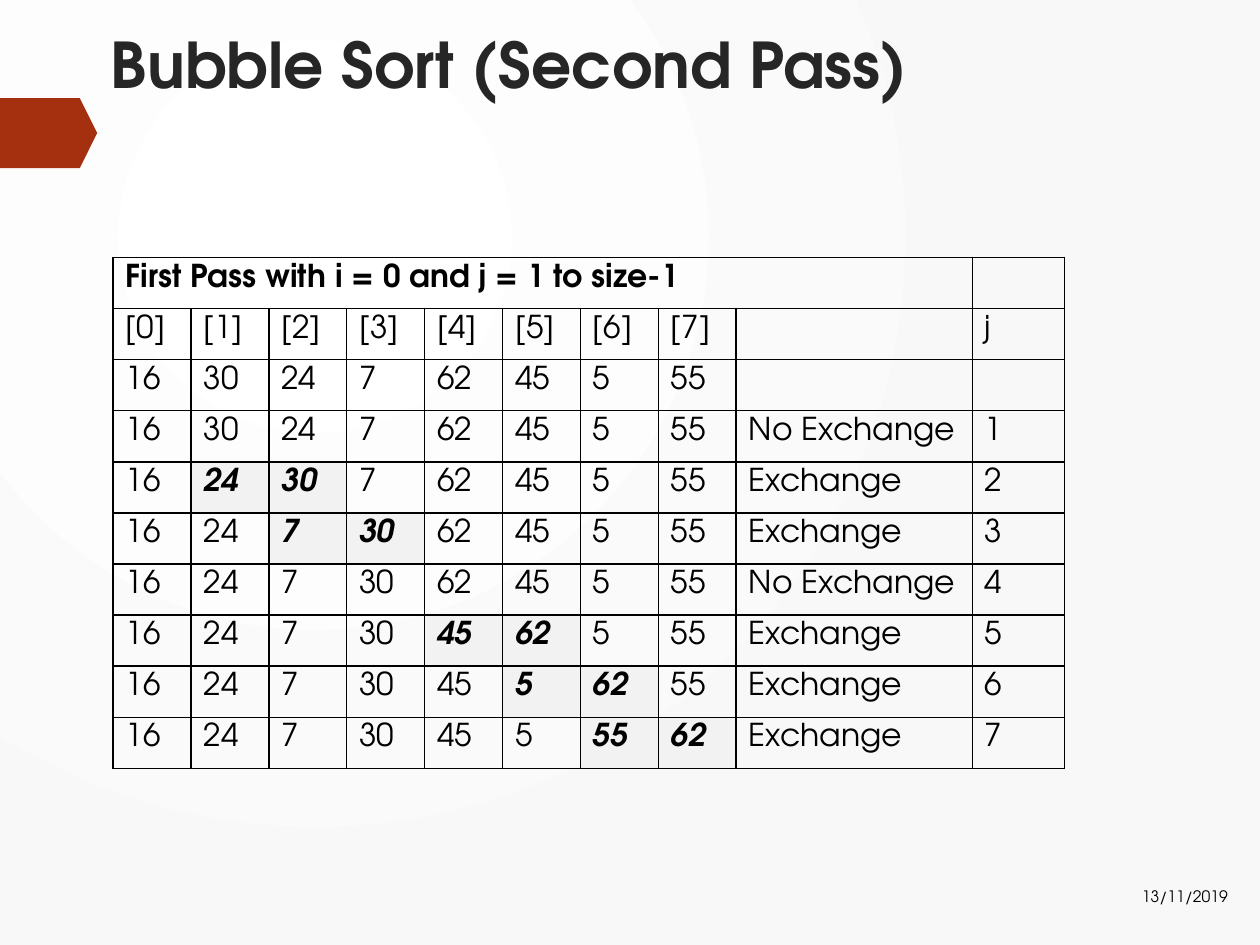
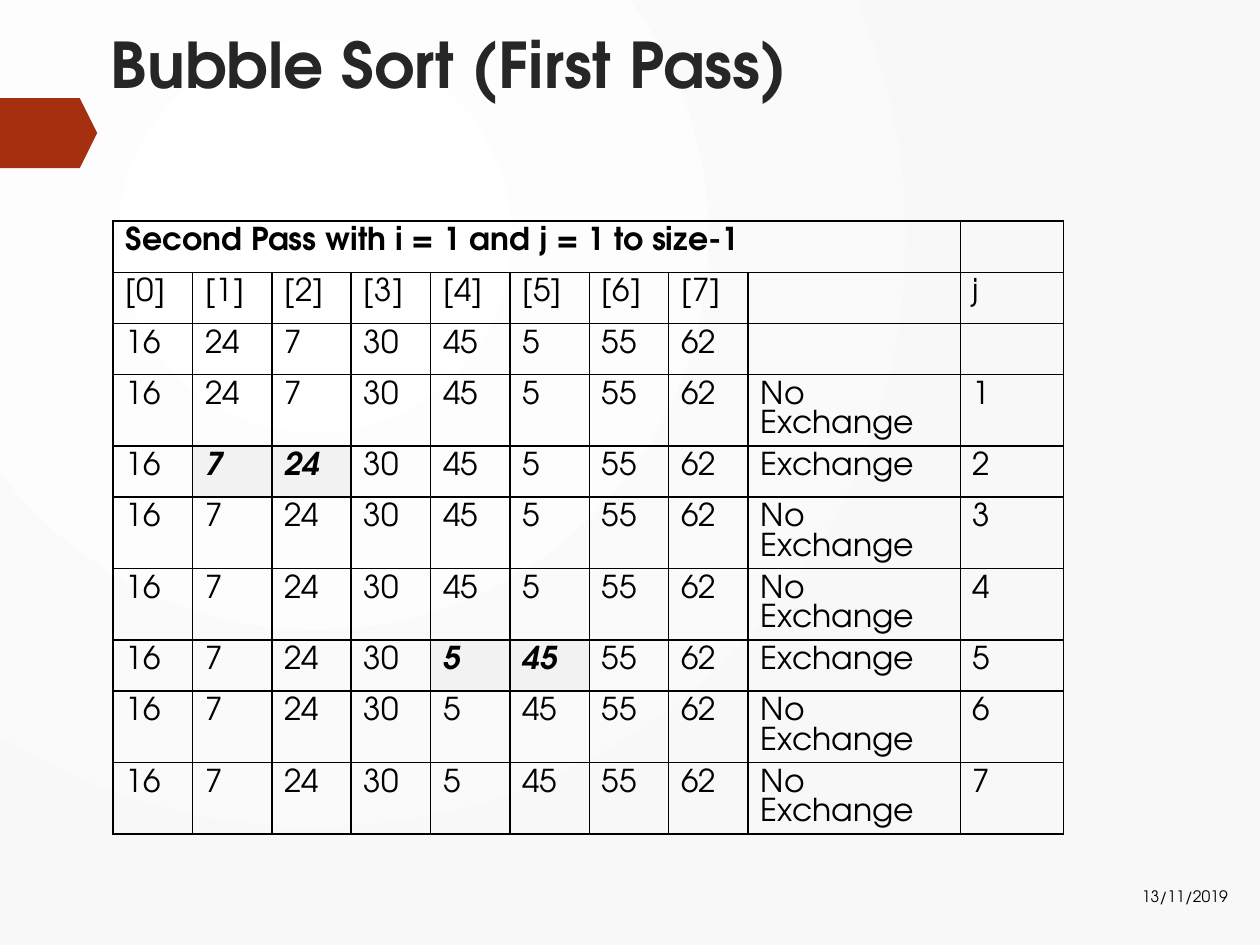
from dataclasses import dataclass

from lxml import etree
from pptx import Presentation
from pptx.dml.color import RGBColor
from pptx.enum.text import MSO_ANCHOR, MSO_AUTO_SIZE, PP_ALIGN
from pptx.oxml import parse_xml
from pptx.util import Cm, Pt

LEFT, RIGHT = PP_ALIGN.LEFT, PP_ALIGN.RIGHT
TOP, MIDDLE = MSO_ANCHOR.TOP, MSO_ANCHOR.MIDDLE
NO_AUTOFIT = MSO_AUTO_SIZE.NONE
TITLE_ONLY = 5
NS = "http://schemas.openxmlformats.org/drawingml/2006/main"

PASSES = [
    {
        "title": "Bubble Sort (Second Pass)",
        "heading": "First Pass with i = 0 and j = 1 to size-1",
        "numbers": [16, 30, 24, 7, 62, 45, 5, 55],
        "top": 5.19,
        "cols": (1.57, 4.76, 1.86),
    },
    {
        "title": "Bubble Sort (First Pass)",
        "heading": "Second Pass with i = 1 and j = 1 to size-1",
        "numbers": [16, 24, 7, 30, 45, 5, 55, 62],
        "top": 4.46,
        "cols": (1.6, 4.28, 2.08),
    },
]
DATE = "13/11/2019 "

TITLE_BOX = (1.98, 0.39, 23.11, 2.26)
DATE_BOX = (21.36, 17.55, 3.73, 1.02)
TAG_POINTS = [(0, 1.98), (1.61, 1.98), (1.96, 2.68), (1.61, 3.39), (0, 3.39)]
TABLE_LEFT = 2.28
ROW_HEIGHT = 1.03


@dataclass(frozen=True)
class Theme:
    font: str = "TeX Gyre Adventor"
    title: str = "262626"
    text: str = "000000"
    tag: str = "A53010"
    swapped: str = "F2F2F2"
    glow: tuple = ("FFFFFF", "F8F8F8")
    title_size: int = 36
    cell_size: int = 18
    date_size: int = 9


T = Theme()


def set_attrs(obj, **values):
    for name, value in values.items():
        setattr(obj, name, value)


def write(tf, text, size, color, align=LEFT, **style):
    p = tf.paragraphs[0]
    set_attrs(p, alignment=align, line_spacing=1.0)
    r = p.add_run()
    r.text = text
    set_attrs(r.font, name=T.font, size=Pt(size), **style)
    r.font.color.rgb = RGBColor.from_string(color)


def bubble_pass(numbers):
    values = list(numbers)
    rows = [([f"[{i}]" for i in range(len(values))] + ["", "j"], ())]
    rows.append((values + ["", ""], ()))
    for j in range(1, len(values)):
        swap = values[j - 1] > values[j]
        if swap:
            values[j - 1], values[j] = values[j], values[j - 1]
        note = "Exchange" if swap else "No Exchange"
        rows.append((values + [note, j], (j - 1, j) if swap else ()))
    return rows


def add_borders(cell):
    tc_pr = cell._tc.get_or_add_tcPr()
    for side in ("lnL", "lnR", "lnT", "lnB"):
        ln = etree.SubElement(tc_pr, f"{{{NS}}}{side}", w=str(Pt(1)))
        fill = etree.SubElement(ln, f"{{{NS}}}solidFill")
        etree.SubElement(fill, f"{{{NS}}}srgbClr", val=T.text)


def add_pass_table(s, data):
    rows = [([data["heading"]] + [""] * 9, ())] + bubble_pass(data["numbers"])
    number, note, step = data["cols"]
    widths = [number] * len(data["numbers"]) + [note, step]
    table = s.shapes.add_table(
        len(rows), len(widths), Cm(TABLE_LEFT), Cm(data["top"]),
        Cm(sum(widths)), Cm(ROW_HEIGHT * len(rows))).table
    set_attrs(table, first_row=False, horz_banding=False)
    for col, width in zip(table.columns, widths):
        col.width = Cm(width)
    for i, (values, swapped) in enumerate(rows):
        for k, value in enumerate(values):
            cell = table.cell(i, k)
            add_borders(cell)
            cell.fill.background()
            if k in swapped:
                cell.fill.solid()
                cell.fill.fore_color.rgb = RGBColor.from_string(T.swapped)
            if value != "":
                write(cell.text_frame, str(value), T.cell_size, T.text,
                      bold=i == 0 or k in swapped, italic=k in swapped)
    table.cell(0, 0).merge(table.cell(0, len(widths) - 2))


def set_background(master):
    fill = master.background.fill
    fill.solid()
    bg_pr = master.background._cSld.bg.bgPr
    stops = "".join(f'<a:gs pos="{pos}"><a:srgbClr val="{color}"/></a:gs>'
                    for pos, color in zip((0, 100000), T.glow))
    bg_pr.replace(bg_pr[0], parse_xml(
        f'<a:gradFill xmlns:a="{NS}" rotWithShape="1"><a:gsLst>{stops}</a:gsLst>'
        '<a:path path="circle"><a:fillToRect l="50000" t="50000" '
        'r="100000" b="100000"/></a:path></a:gradFill>'))


def add_tag(s):
    points = [(Cm(x), Cm(y)) for x, y in TAG_POINTS]
    builder = s.shapes.build_freeform(*points[0])
    builder.add_line_segments(points[1:], close=True)
    tag = builder.convert_to_shape()
    tag.shadow.inherit = False
    tag.fill.solid()
    tag.fill.fore_color.rgb = RGBColor.from_string(T.tag)
    tag.line.fill.background()
    s.slide_layout.shapes._spTree.insert(2, tag._element)


def add_pass_slide(prs, data):
    s = prs.slides.add_slide(prs.slide_layouts[TITLE_ONLY])
    title = s.shapes.title
    set_attrs(title, **dict(zip(("left", "top", "width", "height"), map(Cm, TITLE_BOX))))
    tf = title.text_frame
    set_attrs(tf, word_wrap=True, auto_size=NO_AUTOFIT, vertical_anchor=TOP)
    write(tf, data["title"], T.title_size, T.title, bold=True)
    add_pass_table(s, data)
    tf = s.shapes.add_textbox(*map(Cm, DATE_BOX)).text_frame
    set_attrs(tf, word_wrap=True, vertical_anchor=MIDDLE)
    write(tf, DATE, T.date_size, T.text, align=RIGHT)
    return s


def main():
    prs = Presentation()
    set_attrs(prs, slide_width=Cm(25.4), slide_height=Cm(19.05))
    set_background(prs.slide_master)
    slides = [add_pass_slide(prs, data) for data in PASSES]
    add_tag(slides[0])
    prs.save("out.pptx")


if __name__ == "__main__":
    main()
